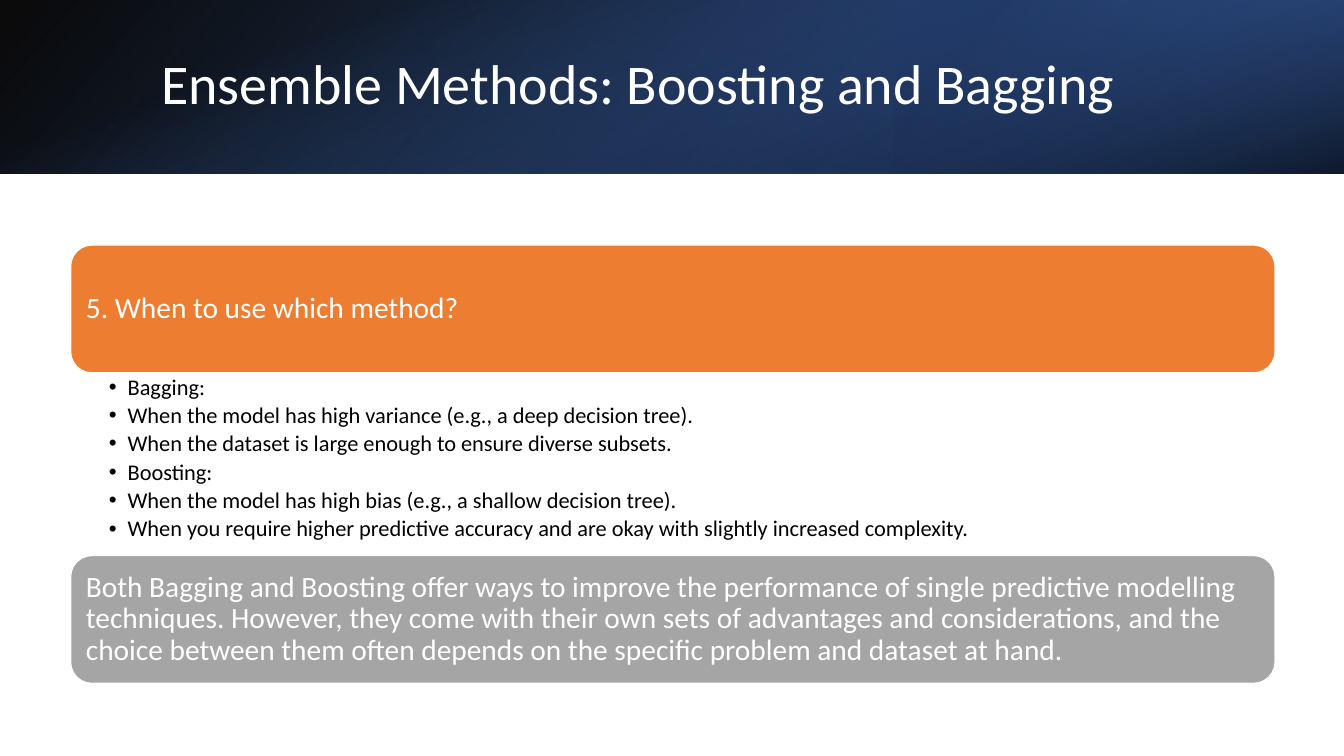
from lxml.etree import SubElement
from pptx import Presentation
from pptx.dml.color import RGBColor
from pptx.enum.shapes import MSO_SHAPE as Shape
from pptx.enum.text import MSO_ANCHOR as Anchor, MSO_AUTO_SIZE as AutoSize, PP_ALIGN as Align
from pptx.oxml.ns import qn
from pptx.util import Pt

WIDTH, HEIGHT, BANNER_HEIGHT = 960, 540, 124
FONT = "Calibri"
GUIDELINES = [
    "Bagging:",
    "When the model has high variance (e.g., a deep decision tree).",
    "When the dataset is large enough to ensure diverse subsets.",
    "Boosting:",
    "When the model has high bias (e.g., a shallow decision tree).",
    "When you require higher predictive accuracy and are okay with slightly increased complexity.",
]
SUMMARY = (
    "Both Bagging and Boosting offer ways to improve the performance of single predictive "
    "modelling techniques. However, they come with their own sets of advantages and "
    "considerations, and the choice between them often depends on the specific problem "
    "and dataset at hand."
)


def color(value):
    return RGBColor.from_string(value)


def place(shape, left, top, width, height):
    shape.left, shape.top, shape.width, shape.height = map(Pt, (left, top, width, height))


def style(paragraph, size, ink):
    paragraph.alignment = Align.LEFT
    paragraph.line_spacing = 0.9
    paragraph.space_before = Pt(0)
    paragraph.font.name = FONT
    paragraph.font.size = Pt(size)
    paragraph.font.color.rgb = color(ink)


def set_margins(frame, left, top, right, bottom):
    frame.margin_left, frame.margin_top = Pt(left), Pt(top)
    frame.margin_right, frame.margin_bottom = Pt(right), Pt(bottom)
    frame.word_wrap = True
    frame.auto_size = AutoSize.NONE


def add_gradient(slide, box, stops, angle, rotation=0, flipped=False):
    shape = slide.shapes.add_shape(Shape.RECTANGLE, *map(Pt, box))
    shape.shadow.inherit = False
    shape.line.fill.background()
    shape.rotation = rotation
    properties = shape._element.spPr
    if flipped:
        properties.find(qn("a:xfrm")).set("flipH", "1")
    shape.fill.gradient()
    shape.fill.gradient_angle = 360 - angle
    for stop, (position, value, _) in zip(shape.fill.gradient_stops, stops):
        stop.position = position / 100
        stop.color.rgb = color(value)
    for element, (_, _, opacity) in zip(properties.iter(qn("a:srgbClr")), stops):
        SubElement(element, qn("a:alpha"), val=str(opacity * 1000))
    slide.shapes.title._element.addprevious(shape._element)


def add_banner(slide, left, top, width, height):
    add_gradient(slide, (left, top, width, height),
                 [(0, "000000", 96), (100, "2F5597", 100)], 140, flipped=True)
    add_gradient(slide, (left + width * 2 / 3, top, width / 3, height),
                 [(19, "203864", 68), (100, "4472C4", 79)], 320, rotation=180, flipped=True)
    offset = (width - height) / 2
    add_gradient(slide, (left + offset, top - offset, height, width),
                 [(23, "4472C4", 0), (99, "000000", 74)], 340, rotation=90)
    title = slide.shapes.title
    place(title, left + 108, top + 27.4, 790.5, 69)
    title.text = "Ensemble Methods: Boosting and Bagging"
    title.text_frame.vertical_anchor = Anchor.MIDDLE
    set_margins(title.text_frame, 7.2, 3.6, 7.2, 3.6)
    style(title.text_frame.paragraphs[0], 40, "FFFFFF")


def add_card(slide, box, text, fill):
    card = slide.shapes.add_shape(Shape.ROUNDED_RECTANGLE, *map(Pt, box))
    card.shadow.inherit = False
    card.fill.solid()
    card.fill.fore_color.rgb = color(fill)
    card.line.color.rgb = color("FFFFFF")
    card.line.width = Pt(1)
    frame = card.text_frame
    frame.text = text
    frame.vertical_anchor = Anchor.MIDDLE
    set_margins(frame, 6.5, 6.5, 6.5, 6.5)
    style(frame.paragraphs[0], 21, "FFFFFF")


def add_guidelines(slide, box):
    body = slide.placeholders[1]
    place(body, *box)
    frame = body.text_frame
    frame.text = "\n".join(GUIDELINES)
    frame.vertical_anchor = Anchor.TOP
    set_margins(frame, 27.3, 2, 11.5, 2)
    for paragraph in frame.paragraphs:
        properties = paragraph._p.get_or_add_pPr()
        properties.set("marL", str(Pt(13.5)))
        properties.set("indent", str(Pt(-13.5)))
        style(paragraph, 16, "000000")
        paragraph.space_after = Pt(3)


def add_advice(slide, left, top, width, card_height, list_height):
    list_top = top + card_height
    add_card(slide, (left, top, width, card_height), "5. When to use which method?", "ED7D31")
    add_guidelines(slide, (left, list_top, width, list_height))
    add_card(slide, (left, list_top + list_height, width, card_height), SUMMARY, "A5A5A5")


def main():
    presentation = Presentation()
    presentation.slide_width, presentation.slide_height = Pt(WIDTH), Pt(HEIGHT)
    slide = presentation.slides.add_slide(presentation.slide_layouts[1])
    add_banner(slide, 0, 0, WIDTH, BANNER_HEIGHT)
    add_advice(slide, 50.4, 175, 860.4, 91.4, 130.4)
    presentation.save("out.pptx")


if __name__ == "__main__":
    main()
